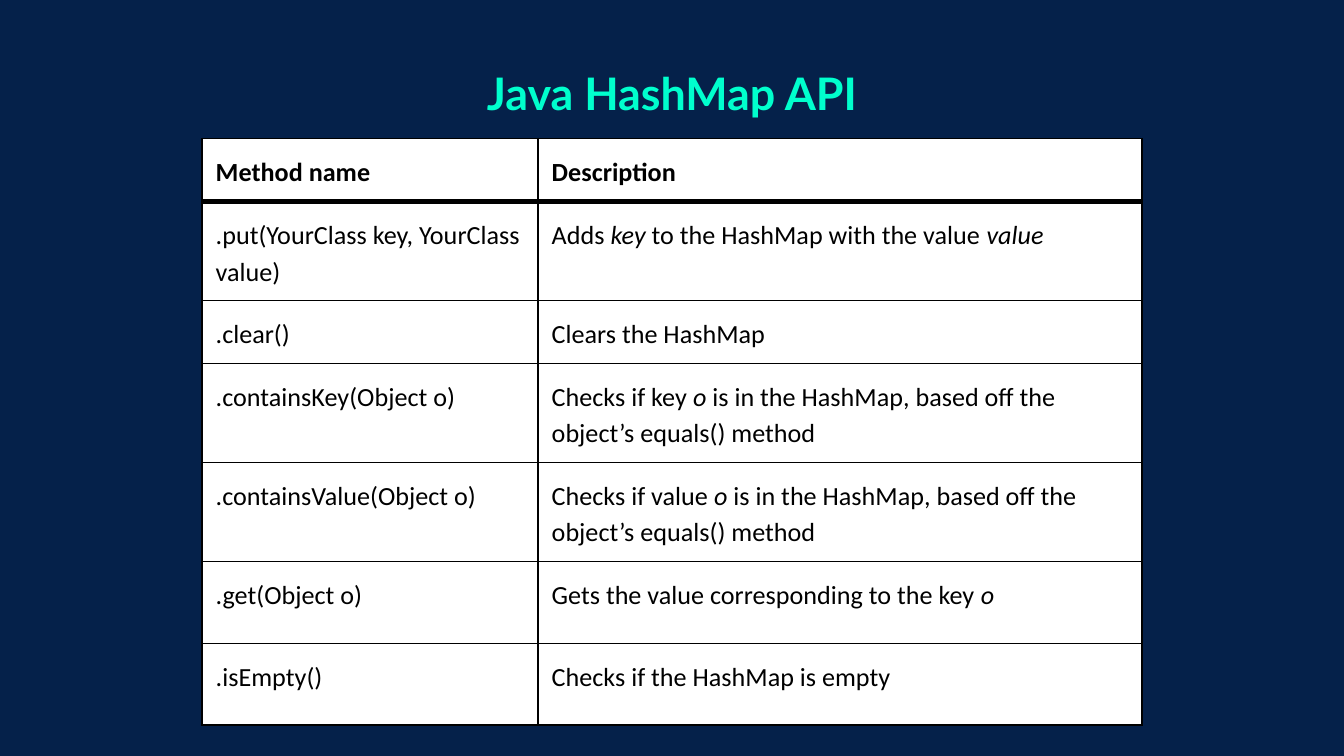
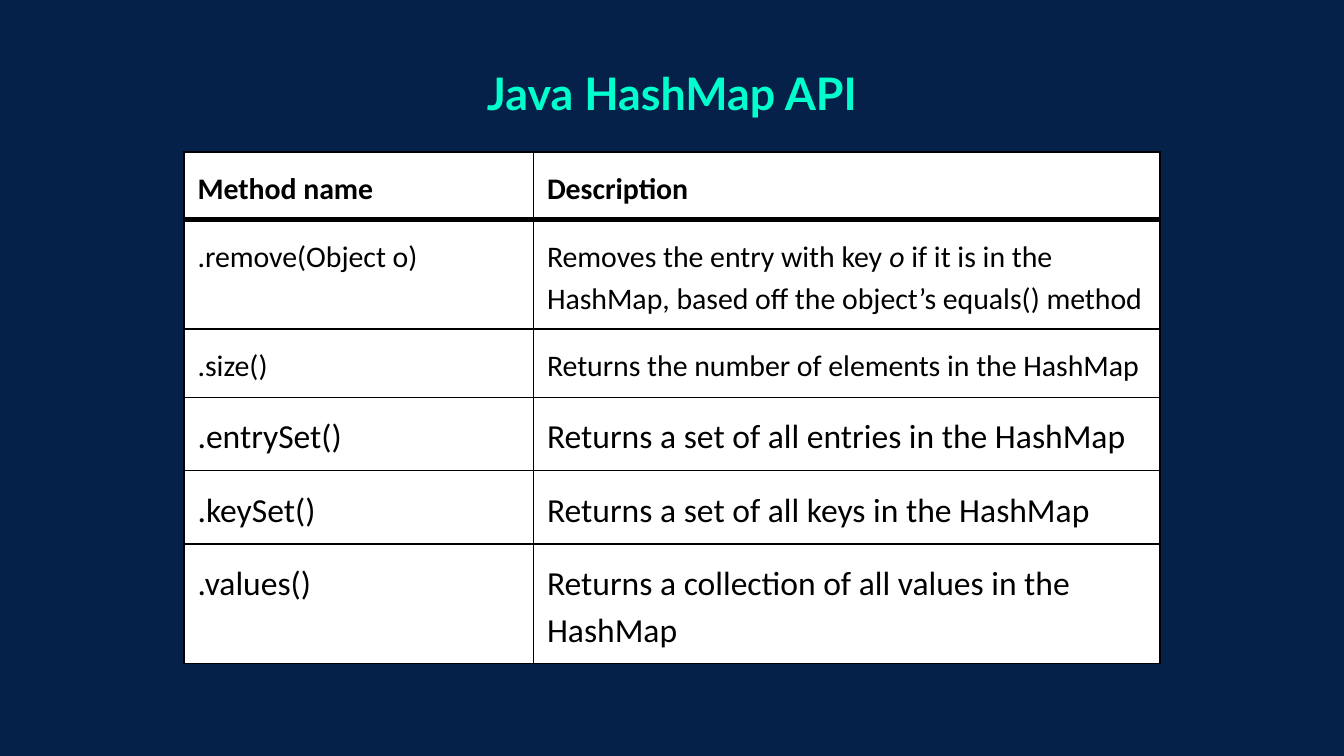
from lxml import etree
from pptx import Presentation
from pptx.dml.color import RGBColor
from pptx.enum.text import MSO_ANCHOR, PP_ALIGN
from pptx.oxml.ns import qn
from pptx.util import Inches, Pt

SLIDE_WIDTH = 10
SLIDE_HEIGHT = SLIDE_WIDTH * 9 / 16
MARGIN = Inches(0.1)
LINE_SPACING = 1.15 + 1e-9  # keeps the stored percentage from rounding down to 114
NAVY = RGBColor(0x05, 0x21, 0x4A)
MINT = RGBColor(0x00, 0xFF, 0xCD)
WHITE = RGBColor(0xFF, 0xFF, 0xFF)
BLACK = RGBColor(0x00, 0x00, 0x00)
TITLE_FONT, TABLE_FONT = "Lato", "Calibri"
TITLE = "Java HashMap API"
HEADER = ("Method name", "Description")
THIN, NORMAL, THICK = 0.75, 1, 3
TOP, CENTER = MSO_ANCHOR.TOP, PP_ALIGN.CENTER

# Each row: method, description (italics between asterisks), height, font size
BASIC_METHODS = [
    (*HEADER, 0.41, 14),
    (".put(YourClass key, YourClass value)",
     "Adds *key* to the HashMap with the value *value*", 0.65, 14),
    (".clear()", "Clears the HashMap", 0.41, 14),
    (".containsKey(Object o)",
     "Checks if key *o* is in the HashMap, based off the object’s equals() method", 0.65, 14),
    (".containsValue(Object o)",
     "Checks if value *o* is in the HashMap, based off the object’s equals() method", 0.65, 14),
    (".get(Object o)", "Gets the value corresponding to the key *o*", 0.61, 14),
    (".isEmpty()", "Checks if the HashMap is empty", 0.61, 14),
]
COLLECTION_METHODS = [
    (*HEADER, 0.48, 16),
    (".remove(Object o)",
     "Removes the entry with key *o* if it is in the HashMap, "
     "based off the object’s equals() method", 0.76, 16),
    (".size()", "Returns the number of elements in the HashMap", 0.48, 16),
    (".entrySet()", "Returns a set of all entries in the HashMap", 0.52, 18),
    (".keySet()", "Returns a set of all keys in the HashMap", 0.52, 18),
    (".values()", "Returns a collection of all values in the HashMap", 0.84, 18),
]


def add_run(paragraph, text, font_name, size, color, bold=False, italic=False):
    run = paragraph.add_run()
    run.text = text
    font = run.font
    font.name, font.size, font.bold, font.italic = font_name, Pt(size), bold, italic
    font.color.rgb = color


def set_margins(container):
    container.margin_left = container.margin_right = MARGIN
    container.margin_top = container.margin_bottom = MARGIN


def add_titled_slide(presentation):
    slide = presentation.slides.add_slide(presentation.slide_layouts[6])
    slide.background.fill.solid()
    slide.background.fill.fore_color.rgb = NAVY
    width = 5.7
    title = slide.shapes.add_textbox(
        Inches((SLIDE_WIDTH - width) / 2), Inches(0.39), Inches(width), Inches(1.03))
    frame = title.text_frame
    frame.word_wrap = True
    frame.vertical_anchor = TOP
    set_margins(frame)
    paragraph = frame.paragraphs[0]
    paragraph.alignment = CENTER
    add_run(paragraph, TITLE, TITLE_FONT, 24, MINT, bold=True)
    return slide


def set_borders(cell, top, bottom):
    """Draw the four cell edges; top and bottom are widths in points."""
    properties = cell._tc.get_or_add_tcPr()
    for edge, width in (("L", NORMAL), ("R", NORMAL), ("T", top), ("B", bottom)):
        line = etree.SubElement(properties, qn(f"a:ln{edge}"), w=str(Pt(width)))
        fill = etree.SubElement(line, qn("a:solidFill"))
        etree.SubElement(fill, qn("a:srgbClr"), val=str(BLACK))


def fill_cell(cell, text, size, bold):
    """Write the text, with every part between asterisks in italics."""
    cell.fill.solid()
    cell.fill.fore_color.rgb = WHITE
    cell.vertical_anchor = TOP
    set_margins(cell)
    paragraph = cell.text_frame.paragraphs[0]
    paragraph.line_spacing = LINE_SPACING
    for index, part in enumerate(text.split("*")):
        if part:
            add_run(paragraph, part, TABLE_FONT, size, BLACK, bold, index % 2 == 1)


def add_method_table(slide, top, column_widths, methods, thin_row):
    """Add a centred table; thin_row is the row with a thin rule below it."""
    width = sum(column_widths)
    height = sum(row_height for _, _, row_height, _ in methods)
    table = slide.shapes.add_table(
        len(methods), len(column_widths), Inches((SLIDE_WIDTH - width) / 2),
        Inches(top), Inches(width), Inches(height)).table
    table.first_row = table.horz_banding = False
    for column, column_width in zip(table.columns, column_widths):
        column.width = Inches(column_width)
    rules = {0: THICK, thin_row: THIN}
    for index, (method, description, row_height, size) in enumerate(methods):
        table.rows[index].height = Inches(row_height)
        for cell, text in zip(table.rows[index].cells, (method, description)):
            set_borders(cell, rules.get(index - 1, NORMAL), rules.get(index, NORMAL))
            fill_cell(cell, text, size, bold=index == 0)


def main():
    presentation = Presentation()
    presentation.slide_width = Inches(SLIDE_WIDTH)
    presentation.slide_height = Inches(SLIDE_HEIGHT)
    add_method_table(add_titled_slide(presentation), 1.03, (2.5, 4.49),
                     BASIC_METHODS, thin_row=4)
    add_method_table(add_titled_slide(presentation), 1.13, (2.6, 4.66),
                     COLLECTION_METHODS, thin_row=3)
    presentation.save("out.pptx")


if __name__ == "__main__":
    main()
